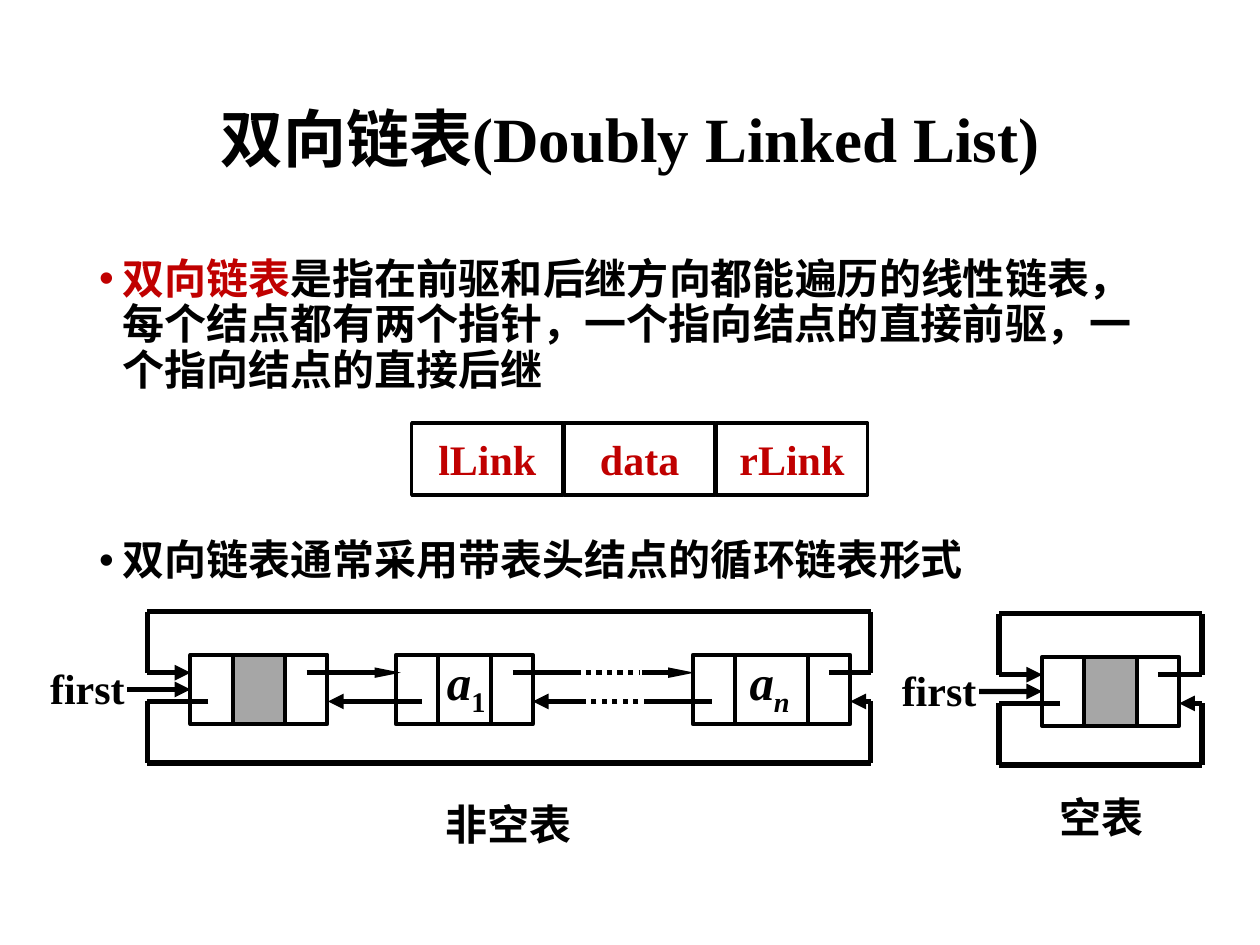
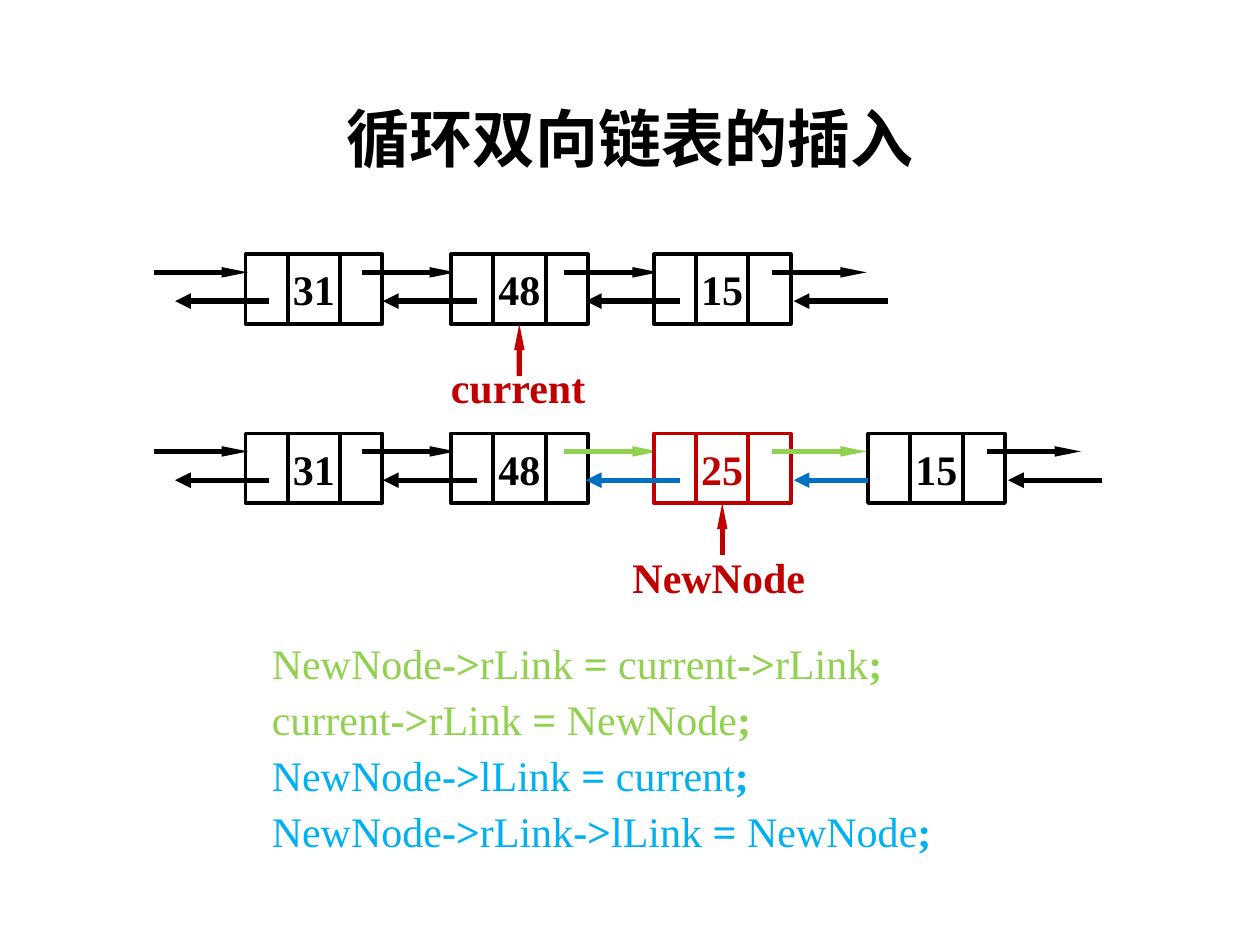
from dataclasses import dataclass
from pptx import Presentation
from pptx.dml.color import RGBColor
from pptx.enum.dml import MSO_LINE
from pptx.enum.shapes import MSO_CONNECTOR as CONN, MSO_SHAPE as SHAPE
from pptx.enum.text import MSO_ANCHOR as ANCHOR, PP_ALIGN as ALIGN
from pptx.oxml.ns import qn
from pptx.util import Cm, Pt
from lxml.etree import SubElement


@dataclass(frozen=True)
class Theme:
    black: str = "000000"
    white: str = "FFFFFF"
    gray: str = "A6A6A6"
    red: str = "C00000"
    green: str = "92D050"
    blue: str = "0070C0"
    sky: str = "00B0F0"
    cjk: str = "Noto Sans CJK SC"
    latin: str = "Times New Roman"
    title: float = 36
    symbol: float = 28
    text: float = 24
    link: float = 3
    cell: float = 2.25
    field: float = 2


T = Theme()
PLAIN, SLIM = ("med", "med"), ("sm", "lg")
SIDE, DATA, WIDE, NODE_H = 0.85, 1.06, 1.47, 1.4
NEXT_Y, PREV_Y, TOP_Y, BOTTOM_Y = 0.36, 0.94, -0.87, 2.18
NEXT_X, PREV_X, LINK = 2.34, 2.77, 1.9

TITLES = [
    [("双向链表", {"name": T.cjk}), ("(Doubly Linked List)", {"name": T.latin})],
    [("循环双向链表的插入", {"name": T.cjk})],
]
BULLETS = [
    (5.08, [("双向链表", T.red),
            ("是指在前驱和后继方向都能遍历的线性链表，每个结点都有两个指针，"
             "一个指向结点的直接前驱，一个指向结点的直接后继", T.black)]),
    (10.75, [("双向链表通常采用带表头结点的循环链表形式", T.black)]),
]
FIELDS = ["lLink", "data", "rLink"]
RINGS = [
    {"y": 13.2, "rails": (2.97, 17.55), "first_x": 0.76,
     "nodes": [(3.84, DATA, T.gray), (7.98, DATA, T.white), (13.97, WIDE, T.white)]},
    {"y": 13.24, "rails": (20.14, 24.23), "first_x": 17.93,
     "nodes": [(21.01, DATA, T.gray)]},
]
ELLIPSIS = [
    (10.34, 11.6, NEXT_Y, {}),
    (11.6, 12.88, NEXT_Y, {"dotted": True}),
    (12.95, 14.0, NEXT_Y, {"arrow": SLIM}),
    (14.35, 13.08, PREV_Y, {}),
    (13.08, 11.81, PREV_Y, {"dotted": True}),
    (11.81, 10.74, PREV_Y, {"arrow": PLAIN}),
]
SYMBOLS = [(8.76, "1", False), (14.86, "n", True)]
CAPTIONS = [(8.74, 15.98, "非空表"), (21.1, 15.83, "空表")]

BLACK2 = (T.black, T.black)
CHAINS = [
    {"y": 5.13, "target": 1, "label": ("current", 8.84, 7.16), "tail": LINK,
     "nodes": [(4.95, "31", T.black), (9.09, "48", T.black), (13.18, "15", T.black)],
     "links": [(0.76, *BLACK2), (4.95, *BLACK2), (9.04, *BLACK2), (13.23, *BLACK2)]},
    {"y": 8.74, "target": 2, "label": ("NewNode", 12.5, 11),
     "nodes": [(4.95, "31", T.black), (9.09, "48", T.black),
               (13.18, "25", T.red), (17.5, "15", T.black)],
     "links": [(0.76, *BLACK2), (4.95, *BLACK2), (9.04, T.green, T.blue),
               (13.23, T.green, T.blue), (17.55, *BLACK2)]},
]
CODE = [
    (T.green, "NewNode|->|rLink |= |current|->|rLink|;"),
    (T.green, "current|->|rLink |= |NewNode|;"),
    (T.sky, "NewNode|->|lLink |= |current|;"),
    (T.sky, "NewNode|->|rLink|->|lLink |= |NewNode|;"),
]


def rgb(value):
    return RGBColor.from_string(value)


def assign(obj, values):
    for name, value in values.items():
        setattr(obj, name, value)


def add_runs(p, runs, **base):
    for text, extra in runs:
        fmt = {"name": T.latin, "size": T.text, "bold": True,
               "color": T.black, "sub": False, **base, **extra}
        color, sub = fmt.pop("color"), fmt.pop("sub")
        fmt["size"] = Pt(fmt["size"])
        r = p.add_run()
        r.text = text
        assign(r.font, fmt)
        r.font.color.rgb = rgb(color)
        rPr = r.font._element
        SubElement(rPr, qn("a:ea")).set("typeface", fmt["name"])
        if sub:
            rPr.set("baseline", "-25000")


def text_box(s, x, y, w, h, paragraphs, anchor=ANCHOR.TOP, **para):
    tf = s.shapes.add_textbox(Cm(x), Cm(y), Cm(w), Cm(h)).text_frame
    assign(tf, {"word_wrap": True, "vertical_anchor": anchor})
    for i, runs in enumerate(paragraphs):
        p = tf.add_paragraph() if i else tf.paragraphs[0]
        assign(p, {"space_before": Pt(4.8), **para})
        add_runs(p, runs)
    return tf


def label(s, x, y, text, **fmt):
    text_box(s, x, y, 4.2, 1.27, [[(text, fmt)]])


def box(s, x, y, w, h, fill, color=T.black, weight=T.cell, text="", text_color=T.black):
    sp = s.shapes.add_shape(SHAPE.RECTANGLE, Cm(x), Cm(y), Cm(w), Cm(h))
    sp.shadow.inherit = False
    sp.fill.solid()
    sp.fill.fore_color.rgb = rgb(fill)
    sp.line.color.rgb = rgb(color)
    sp.line.width = Pt(weight)
    if text:
        tf = sp.text_frame
        assign(tf, {"word_wrap": False, "vertical_anchor": ANCHOR.MIDDLE})
        p = tf.paragraphs[0]
        assign(p, {"alignment": ALIGN.CENTER, "space_before": Pt(4.8)})
        add_runs(p, [(text, {"color": text_color})])
    return sp


def line(s, x1, y1, x2, y2, color=T.black, arrow=None, dotted=False):
    c = s.shapes.add_connector(CONN.STRAIGHT, Cm(x1), Cm(y1), Cm(x2), Cm(y2))
    c.line.color.rgb = rgb(color)
    c.line.width = Pt(T.link)
    if dotted:
        c.line.dash_style = MSO_LINE.ROUND_DOT
    if arrow:
        tail = SubElement(c.line._get_or_add_ln(), qn("a:tailEnd"))
        for key, value in zip(("type", "w", "len"), ("triangle", *arrow)):
            tail.set(key, value)
    SubElement(c._element.spPr, qn("a:effectLst"))
    return c


def node(s, x, y, data_w=DATA, fill=T.white, color=T.black, text=""):
    left = box(s, x, y, SIDE, NODE_H, T.white, color)
    box(s, x + SIDE + data_w, y, SIDE, NODE_H, T.white, color)
    data = box(s, x + SIDE, y, data_w, NODE_H, fill, color, text=text, text_color=color)
    return left, data


def next_link(s, x, y, color=T.black):
    line(s, x + NEXT_X, y + NEXT_Y, x + NEXT_X + LINK, y + NEXT_Y, color, SLIM)


def prev_link(s, x, y, color=T.black, length=LINK):
    line(s, x + PREV_X + length, y + PREV_Y, x + PREV_X, y + PREV_Y, color, PLAIN)


def ring(s, y, rails, first_x, nodes):
    lefts = [node(s, x, y, w, fill)[0] for x, w, fill in nodes]
    start = nodes[0][0]
    end = nodes[-1][0] + nodes[-1][1] + 2 * SIDE
    left, right = rails
    up, down, top, bottom = (y + d for d in (NEXT_Y, PREV_Y, TOP_Y, BOTTOM_Y))
    for x1, y1, x2, y2 in [
        (end - 0.43, up, right, up), (right, up, right, top), (right, top, left, top),
        (left, top, left, up), (start + 0.36, down, left, down),
        (left, down, left, bottom), (left, bottom, right, bottom),
        (right, bottom, right, down),
    ]:
        line(s, x1, y1, x2, y2)
    line(s, left, up, start, up, arrow=PLAIN)
    line(s, right, down, end, down, arrow=PLAIN)
    mid = y + NODE_H / 2
    line(s, left - 0.4, mid, start, mid, arrow=PLAIN).end_connect(lefts[0], 1)
    label(s, first_x, y + 0.03, "first")


def chain(s, y, nodes, links, target, label_at):
    next_links = [(x, color) for x, color, _ in links]
    cells = []
    for (x, text, color), (link_x, link_color) in zip(nodes, next_links[1:]):
        cells.append(node(s, x, y, color=color, text=text)[1])
        next_link(s, link_x, y, link_color)
    next_link(s, next_links[0][0], y, next_links[0][1])
    for i, (x, _, color) in enumerate(links):
        covered = color == T.blue and i == target + 1
        prev_link(s, x, y, color, 1.5 if covered else LINK)
    mid = nodes[target][0] + SIDE + DATA / 2
    pointer = line(s, mid, y + 2.45, mid, y + NODE_H, T.red, SLIM)
    pointer.end_connect(cells[target], 2)
    text, x, label_y = label_at
    label(s, x, label_y, text, color=T.red)


def new_slide(prs, title):
    s = prs.slides.add_slide(prs.slide_layouts[6])
    runs = [(text, {"size": T.title, **fmt}) for text, fmt in title]
    text_box(s, 1.75, 1.02, 21.9, 3.68, [runs], ANCHOR.MIDDLE,
             alignment=ALIGN.CENTER, line_spacing=0.9, space_before=Pt(0))
    return s


def structure_slide(prs):
    s = new_slide(prs, TITLES[0])
    for y, parts in BULLETS:
        runs = [(text, {"name": T.cjk, "color": color}) for text, color in parts]
        tf = text_box(s, 1.75, y, 21.9, 1.3, [runs], line_spacing=0.9, space_before=Pt(7.5))
        pPr = tf.paragraphs[0]._p.get_or_add_pPr()
        pPr.set("marL", str(Cm(0.48)))
        pPr.set("indent", str(-Cm(0.48)))
        SubElement(pPr, qn("a:buFont")).set("typeface", "Arial")
        SubElement(pPr, qn("a:buChar")).set("char", "•")
    for i, field in enumerate(FIELDS):
        box(s, 8.3 + 3.07 * i, 8.53, 3.05, 1.45, T.white, weight=T.field,
            text=field, text_color=T.red)
    for spec_of_ring in RINGS:
        ring(s, **spec_of_ring)
    y, (first, *_) = RINGS[0]["y"], RINGS[0]["nodes"]
    next_link(s, first[0], y)
    prev_link(s, first[0], y)
    for x1, x2, dy, style in ELLIPSIS:
        line(s, x1, y + dy, x2, y + dy, **style)
    for x, index, italic in SYMBOLS:
        text_box(s, x, 13, 2.2, 1.45, [[
            ("a", {"size": T.symbol, "italic": True}),
            (index, {"size": T.symbol, "italic": italic, "sub": True})]])
    for x, y, text in CAPTIONS:
        label(s, x, y, text, name=T.cjk)


def insertion_slide(prs):
    s = new_slide(prs, TITLES[1])
    for row in CHAINS:
        chain(s, row["y"], row["nodes"], row["links"], row["target"], row["label"])
    code = [[(part, {"color": color, "bold": i % 2 == 1})
             for i, part in enumerate(text.split("|"))] for color, text in CODE]
    text_box(s, 5.23, 12.85, 14.2, 4.6, code, line_spacing=0.9, space_before=Pt(6))


def main():
    prs = Presentation()
    assign(prs, {"slide_width": Cm(25.4), "slide_height": Cm(19.05)})
    structure_slide(prs)
    insertion_slide(prs)
    prs.save("out.pptx")


if __name__ == "__main__":
    main()
